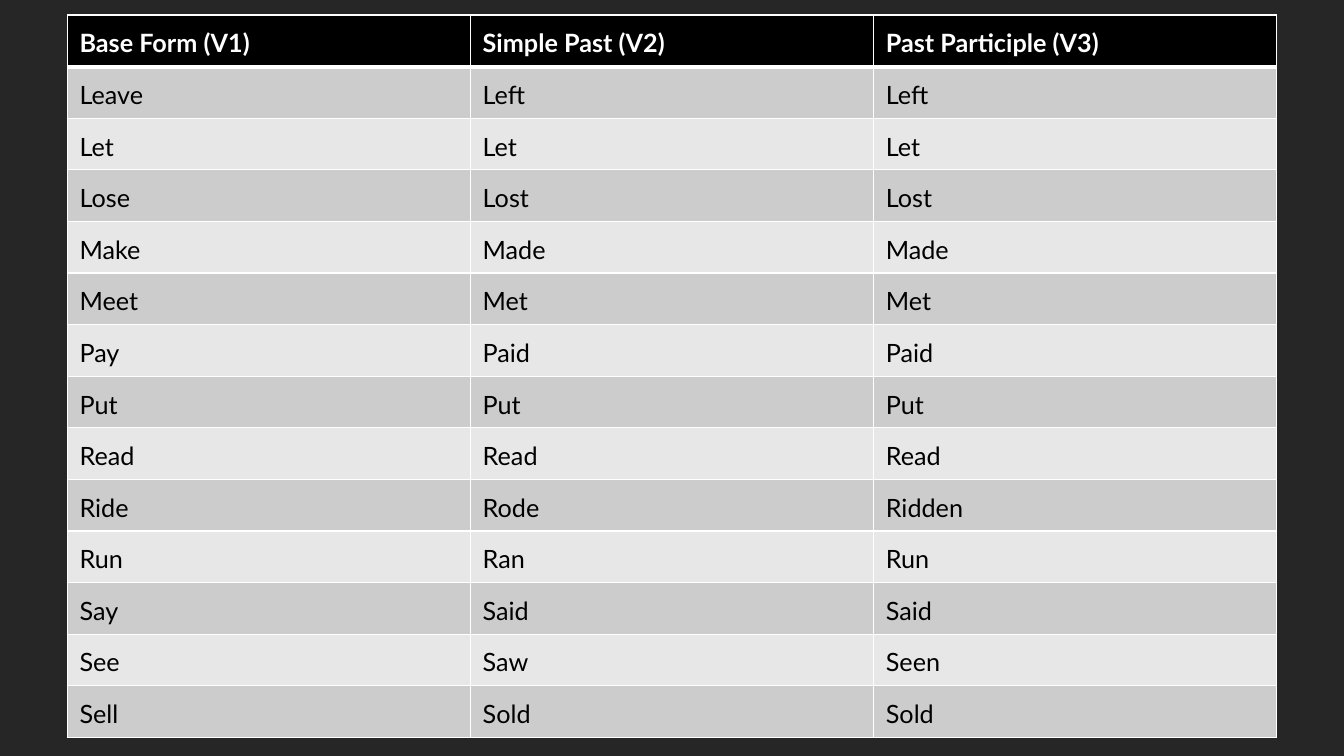
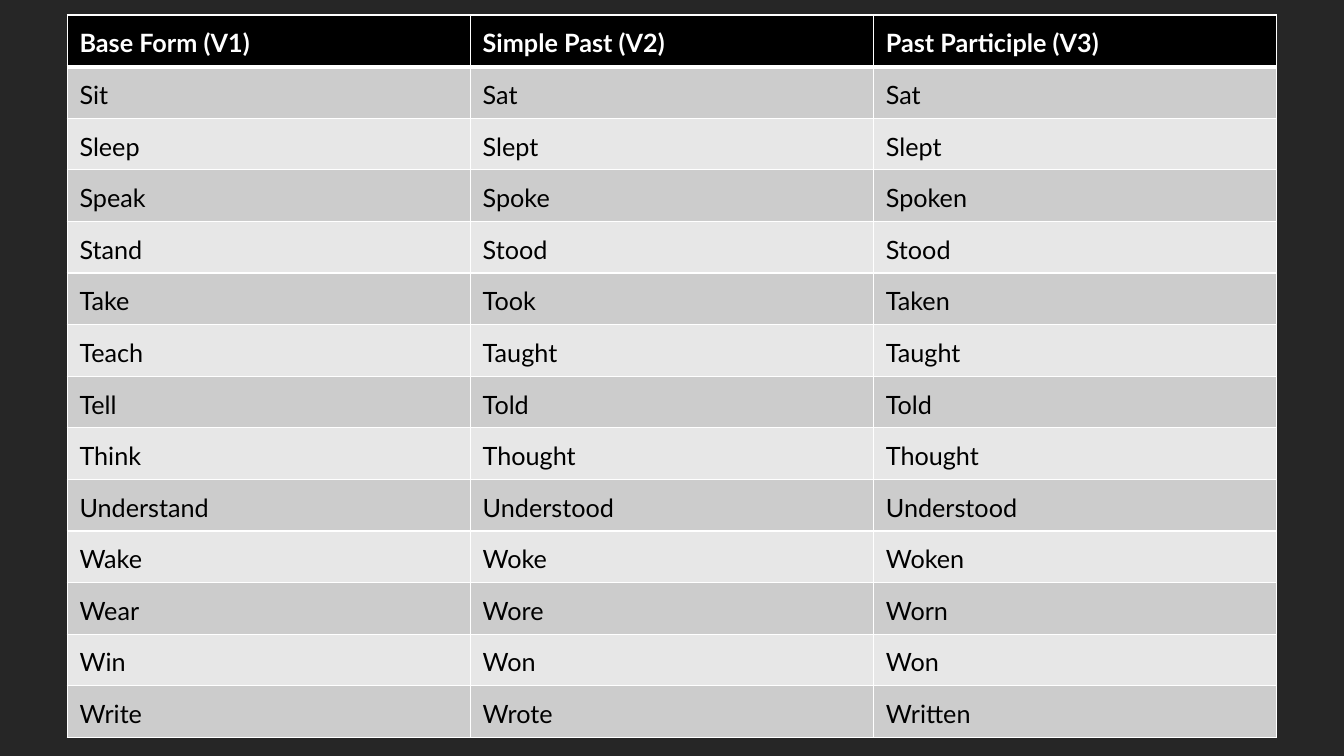
from lxml import etree
from pptx import Presentation
from pptx import util as u
from pptx.dml.color import RGBColor
from pptx.enum import text
from pptx.oxml import ns

# Shared style
BACKDROP = RGBColor(0x26, 0x26, 0x26)
BLACK = RGBColor(0x00, 0x00, 0x00)
WHITE = RGBColor(0xFF, 0xFF, 0xFF)
BANDS = (RGBColor(0xCC, 0xCC, 0xCC), RGBColor(0xE7, 0xE7, 0xE7))
FONT = "Lato"

# Content
HEADINGS = ("Base Form (V1)", "Simple Past (V2)", "Past Participle (V3)")
VERBS_LEAVE_TO_SELL = (
    ("Leave", "Left", "Left"),
    ("Let", "Let", "Let"),
    ("Lose", "Lost", "Lost"),
    ("Make", "Made", "Made"),
    ("Meet", "Met", "Met"),
    ("Pay", "Paid", "Paid"),
    ("Put", "Put", "Put"),
    ("Read", "Read", "Read"),
    ("Ride", "Rode", "Ridden"),
    ("Run", "Ran", "Run"),
    ("Say", "Said", "Said"),
    ("See", "Saw", "Seen"),
    ("Sell", "Sold", "Sold"),
)
VERBS_SIT_TO_WRITE = (
    ("Sit", "Sat", "Sat"),
    ("Sleep", "Slept", "Slept"),
    ("Speak", "Spoke", "Spoken"),
    ("Stand", "Stood", "Stood"),
    ("Take", "Took", "Taken"),
    ("Teach", "Taught", "Taught"),
    ("Tell", "Told", "Told"),
    ("Think", "Thought", "Thought"),
    ("Understand", "Understood", "Understood"),
    ("Wake", "Woke", "Woken"),
    ("Wear", "Wore", "Worn"),
    ("Win", "Won", "Won"),
    ("Write", "Wrote", "Written"),
)


def write(frame, words, *, size=18, color=BLACK, bold=False):
    paragraph = frame.paragraphs[0]
    paragraph.line_spacing = 1.15
    paragraph.space_after = u.Pt(8)
    run = paragraph.add_run()
    run.text = words
    run.font.name = FONT
    run.font.size = u.Pt(size)
    run.font.bold = bold
    run.font.color.rgb = color


class VerbDeck:
    COLUMN_WIDTH = u.Cm(10.16)
    ROW_HEIGHT = u.Cm(1.3)
    TOP = u.Cm(0.38)

    def __init__(self):
        self.prs = Presentation()
        self.prs.slide_width = u.Cm(33.87)
        self.prs.slide_height = u.Cm(19.05)
        backdrop = self.prs.slide_master.background.fill
        backdrop.solid()
        backdrop.fore_color.rgb = BACKDROP
        self.slide = None

    def new_slide(self):
        self.slide = self.prs.slides.add_slide(self.prs.slide_layouts[6])

    def borders(self, cell, **widths):
        """Rule the sides L, R, T and B in white, 1 pt unless given."""
        properties = cell._tc.get_or_add_tcPr()
        for side in "LRTB":
            width = u.Pt(widths.get(side, 1))
            line = etree.SubElement(properties, ns.qn(f"a:ln{side}"), w=str(width))
            fill = etree.SubElement(line, ns.qn("a:solidFill"))
            etree.SubElement(fill, ns.qn("a:srgbClr"), val=str(WHITE))

    def cell(self, cell, words, fill, rules, **style):
        self.borders(cell, **rules)
        cell.fill.solid()
        cell.fill.fore_color.rgb = fill
        cell.vertical_anchor = text.MSO_ANCHOR.MIDDLE
        cell.margin_left = cell.margin_right = u.Cm(0.31)
        cell.margin_top = cell.margin_bottom = u.Cm(0.21)
        write(cell.text_frame, words, **style)

    def verb_table(self, verbs):
        rows = (HEADINGS, *verbs)
        width = self.COLUMN_WIDTH * len(HEADINGS)
        left = (self.prs.slide_width - width) // 2
        table = self.slide.shapes.add_table(
            len(rows), len(HEADINGS), left, self.TOP,
            width, self.ROW_HEIGHT * len(rows)).table
        table.horz_banding = False
        for r, forms in enumerate(rows):
            for c, form in enumerate(forms):
                cell = table.cell(r, c)
                if r == 0:
                    self.cell(cell, form, BLACK, {"B": 3}, color=WHITE, bold=True)
                else:
                    # The first verb row shares the thick rule under the headings
                    rules = {"T": 3} if r == 1 else {}
                    self.cell(cell, form, BANDS[(r - 1) % 2], rules)


def main():
    deck = VerbDeck()
    for verbs in (VERBS_LEAVE_TO_SELL, VERBS_SIT_TO_WRITE):
        deck.new_slide()
        deck.verb_table(verbs)
    deck.prs.save("out.pptx")


if __name__ == "__main__":
    main()
